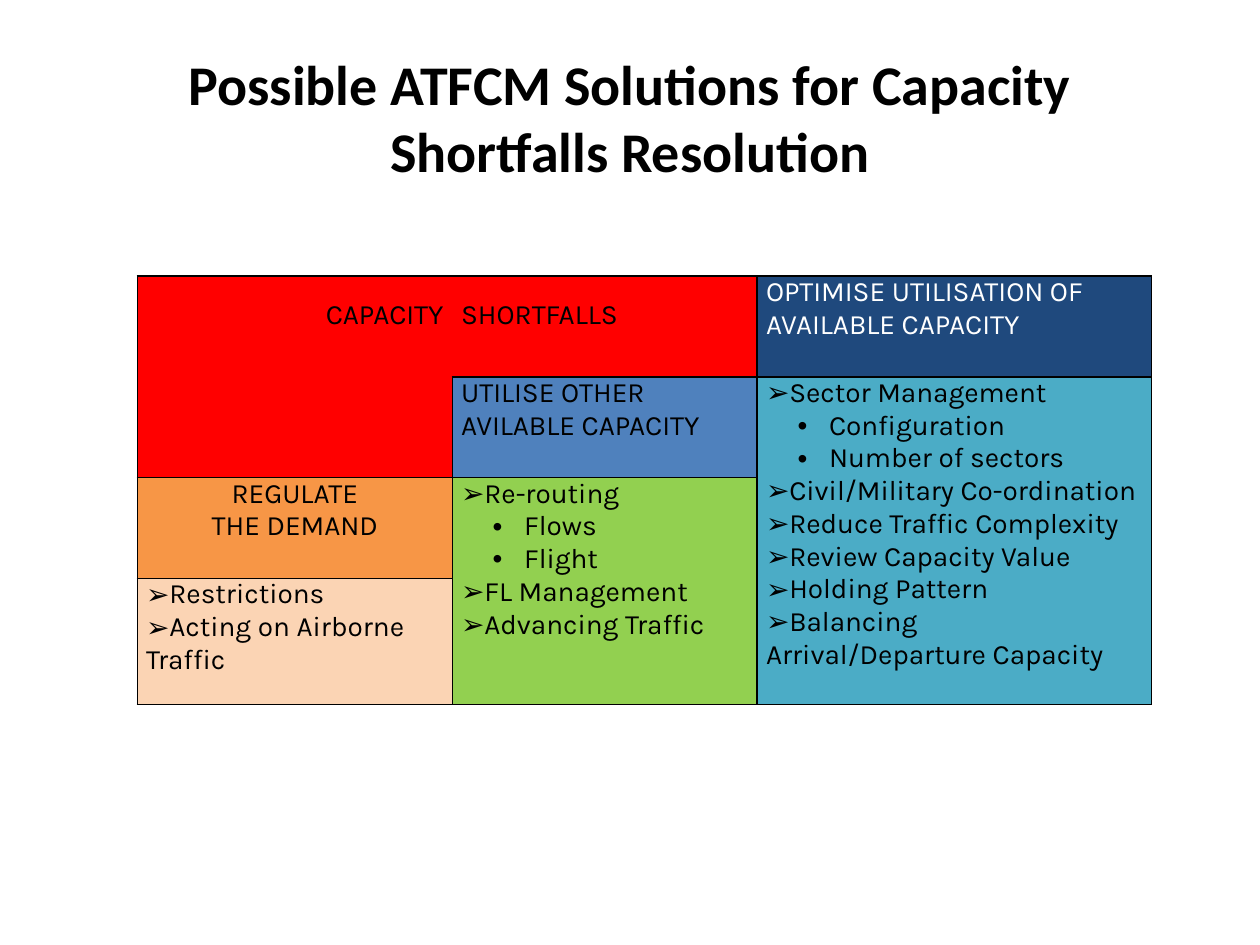
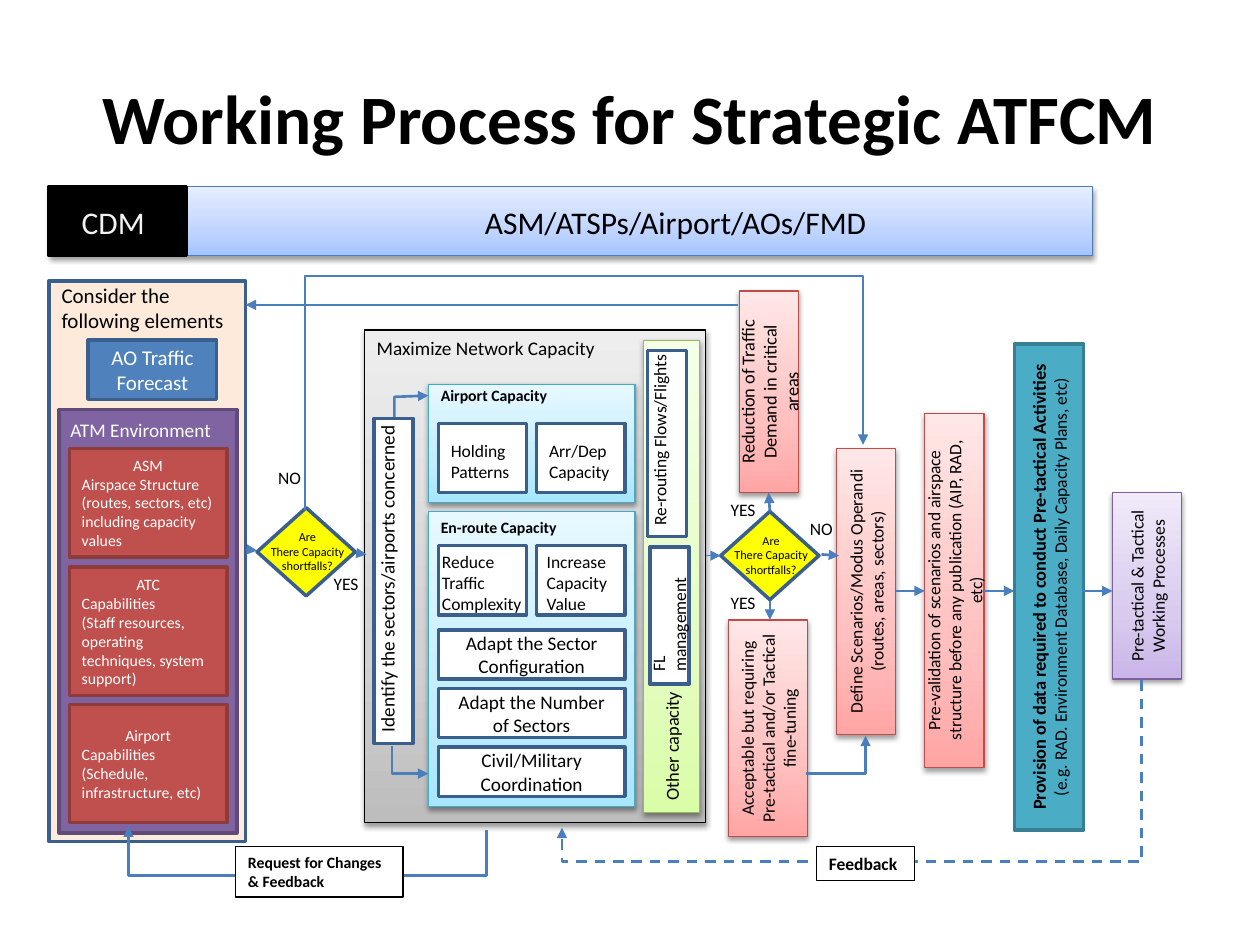
from copy import deepcopy
from dataclasses import dataclass

from lxml.etree import SubElement
from pptx import Presentation
from pptx.dml.color import RGBColor
from pptx.enum.dml import MSO_LINE
from pptx.enum.shapes import MSO_CONNECTOR, MSO_SHAPE
from pptx.enum.text import MSO_ANCHOR, MSO_AUTO_SIZE, PP_ALIGN
from pptx.oxml.ns import qn
from pptx.util import Inches, Pt

BODY_FONT = "Calibri"
TABLE_FONT = "Karla"
BLACK, WHITE = "000000", "FFFFFF"
ARROW_BLUE = "4B7EBC"

STYLES = {
    "cream": ("FDEADA", "3A5F8C", 2),
    "blue": ("4F81BD", "3A5F8C", 2),
    "violet": ("8064A2", "5F4A78", 2),
    "brick": ("C0504D", "8E3B39", 2),
    "yellow": ("FFFF00", "3A5F8C", 2),
    "white": (WHITE, "3A5F8C", 2),
    "note": (WHITE, BLACK, 0.75),
    "teal": ("4BACC6", "377F92", 2),
    "black": (BLACK, BLACK, 2),
    "grey": (("BDBDBD", "D1D1D1", "EEEEEE"), BLACK, 0.75),
    "pink": (("FFA6A5", "FFC0BF", "FFE7E7"), "BF4C48", 0.75),
    "lilac": (("C9B5E8", "D8CBEE", "F0EAF9"), "7D60A0", 0.75),
    "sky": (("A7E6FF", "C1EDFF", "E7F8FF"), "46AAC5", 0.75),
    "lime": (("DAFDA7", "E4FCC2", "F5FFE7"), "98B955", 0.75),
    "banner": (("A4C4FF", "BFD4FF", "E6EEFF"), ARROW_BLUE, 0.75),
}


def rgb(value):
    return RGBColor.from_string(value)


def format_runs(paragraph, size, color=BLACK, bold=False, font=BODY_FONT):
    for run in paragraph.runs:
        run.font.name = font
        run.font.size = Pt(size)
        run.font.bold = bold
        run.font.color.rgb = rgb(color)


def write_text(shape, text, size, color=BLACK, bold=False, align=PP_ALIGN.LEFT,
               anchor=MSO_ANCHOR.TOP, vertical=False):
    text_frame = shape.text_frame
    text_frame.text = text
    text_frame.word_wrap = True
    text_frame.auto_size = MSO_AUTO_SIZE.NONE
    text_frame.vertical_anchor = anchor
    if vertical:
        shape._element.txBody.bodyPr.set("vert", "vert270")
    for paragraph in text_frame.paragraphs:
        paragraph.alignment = align
        format_runs(paragraph, size, color, bold)


def add_title(slide, text, size):
    title = slide.shapes.title
    title.left, title.top, title.width, title.height = map(Inches, (0.5, 0.3, 9, 1.25))
    write_text(title, text, size, bold=True, align=PP_ALIGN.CENTER, anchor=MSO_ANCHOR.MIDDLE)


def paint_gradient(shape, colors):
    shape.fill.gradient()
    shape.fill.gradient_angle = 90
    stops = shape._element.spPr.find(qn("a:gradFill")).find(qn("a:gsLst"))
    stops.append(deepcopy(stops[0]))
    for stop, color, position in zip(shape.fill.gradient_stops, colors, (0, 0.35, 1)):
        stop.color.rgb = rgb(color)
        stop.position = position


def add_shadow(shape):
    effects = shape._element.spPr.find(qn("a:effectLst"))
    shadow = SubElement(effects, qn("a:outerShdw"), blurRad=str(Pt(3.1)), dist=str(Pt(1.6)),
                        dir="5400000", rotWithShape="0")
    color = SubElement(shadow, qn("a:srgbClr"), val=BLACK)
    SubElement(color, qn("a:alpha"), val="38000")


@dataclass
class Region:
    slide: object
    left: float = 0
    top: float = 0

    def place(self, x, y):
        return Inches(self.left + x), Inches(self.top + y)

    def block(self, x, y, width, height, style, text="", size=10, kind=MSO_SHAPE.RECTANGLE,
              align=PP_ALIGN.CENTER, anchor=MSO_ANCHOR.MIDDLE, **text_options):
        shape = self.slide.shapes.add_shape(kind, *self.place(x, y), Inches(width), Inches(height))
        fill, line, line_width = STYLES[style]
        shape.shadow.inherit = False
        if isinstance(fill, tuple):
            paint_gradient(shape, fill)
            add_shadow(shape)
        else:
            shape.fill.solid()
            shape.fill.fore_color.rgb = rgb(fill)
        shape.line.color.rgb = rgb(line)
        shape.line.width = Pt(line_width)
        if text:
            write_text(shape, text, size, align=align, anchor=anchor, **text_options)
        return shape

    def label(self, x, y, width, height, text, size=10, **text_options):
        box = self.slide.shapes.add_textbox(*self.place(x, y), Inches(width), Inches(height))
        write_text(box, text, size, **text_options)

    def arrow(self, *points, width=1.5, dashed=False):
        start, *others = [self.place(*point) for point in points]
        shapes = self.slide.shapes
        if len(others) == 1:
            line = shapes.add_connector(MSO_CONNECTOR.STRAIGHT, *start, *others[0])
            SubElement(line._element.spPr, qn("a:effectLst"))
        else:
            builder = shapes.build_freeform(*start)
            builder.add_line_segments(others, close=False)
            line = builder.convert_to_shape()
            line.fill.background()
            line.shadow.inherit = False
        line.line.color.rgb = rgb(ARROW_BLUE)
        line.line.width = Pt(width)
        if dashed:
            line.line.dash_style = MSO_LINE.DASH
        SubElement(line.line._get_or_add_ln(), qn("a:tailEnd"), type="triangle")


def set_borders(cell, sides):
    properties = cell._tc.get_or_add_tcPr()
    for side in "LRTB":
        line = SubElement(properties, qn(f"a:ln{side}"), w=str(Pt(1)))
        if side in sides:
            SubElement(SubElement(line, qn("a:solidFill")), qn("a:srgbClr"), val=BLACK)
        else:
            SubElement(line, qn("a:noFill"))


def set_bullet(paragraph, symbol):
    properties = paragraph._p.get_or_add_pPr()
    nested = symbol == "•"
    properties.set("marL", str(Inches(0.5 if nested else 0)))
    properties.set("indent", str(Inches(-0.25 if nested else 0)))
    SubElement(properties, qn("a:buFont"), typeface="Arial")
    SubElement(properties, qn("a:buChar"), char=symbol)


def fill_cell(cell, text, fill, color=BLACK, align=PP_ALIGN.LEFT, margin_top=0):
    cell.fill.solid()
    cell.fill.fore_color.rgb = rgb(fill)
    cell.margin_left = cell.margin_right = Inches(0.07)
    cell.margin_top, cell.margin_bottom = Inches(margin_top), 0
    lines = text.split("\n")
    cell.text_frame.text = "\n".join(line.lstrip("➢•") for line in lines)
    for line, paragraph in zip(lines, cell.text_frame.paragraphs):
        paragraph.alignment = align
        if line[0] in "➢•":
            set_bullet(paragraph, line[0])
        format_runs(paragraph, 16, color, font=TABLE_FONT)


def add_solutions_table(slide, left, top):
    widths, heights = (2.5, 2.42, 3.13), (0.8, 0.8, 0.8, 1)
    frame = slide.shapes.add_table(4, 3, Inches(left), Inches(top),
                                   Inches(sum(widths)), Inches(sum(heights)))
    table = frame.table
    table.first_row = table.horz_banding = False
    for column, width in zip(table.columns, widths):
        column.width = Inches(width)
    for row, height in zip(table.rows, heights):
        row.height = Inches(height)
    open_sides = {(0, 0): "LTB", (0, 1): "RTB"}
    for row in range(4):
        for column in range(3):
            set_borders(table.cell(row, column), open_sides.get((row, column), "LRTB"))
    for first, last in (((0, 0), (1, 0)), ((1, 2), (3, 2)), ((2, 1), (3, 1))):
        table.cell(*first).merge(table.cell(*last))

    fill_cell(table.cell(0, 0), "CAPACITY", "FF0000", align=PP_ALIGN.RIGHT, margin_top=0.18)
    fill_cell(table.cell(0, 1), "SHORTFALLS", "FF0000", margin_top=0.18)
    fill_cell(table.cell(0, 2), "OPTIMISE UTILISATION OF AVAILABLE CAPACITY", "1F497D", WHITE)
    fill_cell(table.cell(1, 1), "UTILISE OTHER AVILABLE CAPACITY", "4F81BD")
    fill_cell(table.cell(1, 2), "➢Sector Management\n•Configuration\n•Number of sectors\n"
              "➢Civil/Military Co-ordination\n➢Reduce Traffic Complexity\n"
              "➢Review Capacity Value\n➢Holding Pattern\n"
              "➢Balancing Arrival/Departure Capacity", "4BACC6")
    fill_cell(table.cell(2, 0), "REGULATE\nTHE DEMAND", "F79646", align=PP_ALIGN.CENTER)
    fill_cell(table.cell(2, 1), "➢Re-routing\n•Flows\n•Flight\n➢FL Management\n"
              "➢Advancing Traffic", "92D050")
    fill_cell(table.cell(3, 0), "➢Restrictions\n➢Acting on Airborne Traffic", "FBD4B4")


def add_banner(slide, left, top):
    region = Region(slide, left, top)
    region.block(0, 0, 8.28, 0.55, "banner")
    region.block(0, 0, 1.09, 0.55, "black")
    region.label(0.16, 0.08, 1.02, 0.4, "CDM", 18, color="F2F2F2")
    region.label(3.36, 0.08, 3.28, 0.4, "ASM/ATSPs/Airport/AOs/FMD", 18)


def add_elements(slide, left, top):
    region = Region(slide, left, top)
    region.block(0, 0, 1.56, 4.45, "cream")
    region.label(0, -0.04, 1.56, 0.5, "Consider the following elements", 12)
    region.block(0.31, 0.47, 1.02, 0.47, "blue", "AO Traffic Forecast", 12, color=WHITE)
    region.block(0.08, 1.02, 1.41, 3.36, "violet")
    region.label(0.07, 1.04, 1.41, 0.29, "ATM Environment", 11, color=WHITE)
    environment = (
        (1.33, 0.86, "ASM\nAirspace Structure\n(routes, sectors, etc) including capacity values"),
        (2.27, 1.02, "ATC\nCapabilities\n"
                     "(Staff resources, operating techniques, system support)"),
        (3.36, 0.94, "Airport\nCapabilities\n(Schedule, infrastructure, etc)"),
    )
    for y, height, text in environment:
        shape = region.block(0.16, y, 1.25, height, "brick", text, 9,
                             align=PP_ALIGN.LEFT, color=WHITE)
        shape.text_frame.paragraphs[0].alignment = PP_ALIGN.CENTER


def add_decision(slide, left, top):
    region = Region(slide, left, top)
    region.block(0, 0, 0.78, 0.7, "yellow", kind=MSO_SHAPE.FLOWCHART_DECISION)
    region.label(0, 0.12, 0.8, 0.45, "Are\nThere Capacity shortfalls?", 7, align=PP_ALIGN.CENTER)


def add_network(slide, left, top):
    region = Region(slide, left, top)
    region.block(0, 0, 2.71, 3.91, "grey")
    region.label(0, 0, 2.11, 0.29, "Maximize Network Capacity", 11)
    region.block(0.51, 0.43, 1.64, 0.94, "sky")
    region.label(0.51, 0.39, 1.37, 0.25, "Airport Capacity", 9, bold=True)
    region.block(0.51, 1.44, 1.64, 2.34, "sky")
    region.label(0.51, 1.44, 1.41, 0.25, "En-route Capacity", 9, bold=True)
    for y in (0.74, 1.71):
        for x in (0.59, 1.37):
            region.block(x, y, 0.7, 0.55, "white")
    region.label(0.59, 0.82, 0.7, 0.44, "Holding Patterns")
    region.label(1.37, 0.82, 0.7, 0.44, "Arr/Dep\nCapacity")
    region.label(0.52, 1.7, 0.86, 0.61, "Reduce Traffic Complexity")
    region.label(1.35, 1.7, 0.78, 0.61, "Increase Capacity Value")
    measures = ("Adapt the Sector Configuration", "Adapt the Number of Sectors",
                "Civil/Military Coordination")
    for index, measure in enumerate(measures):
        region.block(0.59, 2.38 + 0.465 * index, 1.48, 0.39, "white", measure, 11)

    region.block(0.08, 0.7, 0.31, 2.58, "white")
    region.label(0.04, 0.47, 0.39, 2.82, "Identify the sectors/airports concerned", 11,
                 vertical=True)
    region.block(2.22, 0.08, 0.44, 3.75, "lime", "Other capacity", 10.5,
                 align=PP_ALIGN.LEFT, vertical=True)
    region.block(2.27, 1.72, 0.31, 1.09, "white")
    region.label(2.2, 1.72, 0.37, 1.09, "FL management", vertical=True)
    region.block(2.25, 0.16, 0.31, 1.48, "white")
    region.label(2.21, 0.01, 0.37, 1.64, "Re-routing Flows/Flights", vertical=True)
    region.arrow((0.24, 0.69), (0.24, 0.53), (0.51, 0.52))
    region.arrow((0.22, 3.3), (0.22, 3.52), (0.51, 3.52))


def add_outcomes(slide, left, top):
    region = Region(slide, left, top)
    steps = (
        (0.09, 0, 0.47, 1.6, "pink", 10.5, "Reduction of Traffic Demand in critical areas"),
        (0, 2.61, 0.63, 1.72, "pink", 10,
         "Acceptable but requiring Pre-tactical and/or Tactical fine-tuning"),
        (0.86, 1.25, 0.47, 2.27, "pink", 10,
         "Define Scenarios/Modus Operandi (routes, areas, sectors)"),
        (1.56, 0.97, 0.47, 2.81, "pink", 10, "Pre-validation of scenarios and airspace "
         "structure before any publication (AIP, RAD, etc)"),
        (3.05, 1.6, 0.55, 1.48, "lilac", 10, "Pre-tactical & Tactical Working Processes"),
    )
    for x, y, width, height, style, size, text in steps:
        region.block(x, y, width, height, style, text, size, vertical=True)
    provision = region.block(
        2.27, 0.42, 0.55, 3.86, "teal",
        "Provision of data required to conduct Pre-tactical Activities\n"
        "(e.g. RAD. Environment Database, Daily Capacity Plans, etc)", 10, vertical=True)
    format_runs(provision.text_frame.paragraphs[0], 10.5, bold=True)
    region.arrow((0.62, 3.83), (1.09, 3.83), (1.09, 3.53))
    for start, end in ((1.33, 1.56), (2.03, 2.27), (2.81, 3.05)):
        region.arrow((start, 2.38), (end, 2.38))


def add_links(slide):
    region = Region(slide)
    region.arrow((3.86, 6.59), (3.86, 6.95), (1.02, 6.95), (1.02, 6.56))
    region.arrow((9.06, 5.4), (9.06, 6.84), (4.46, 6.84), (4.46, 6.57), dashed=True)
    region.arrow((2.42, 4.05), (2.42, 2.19), (6.85, 2.19), (6.85, 3.53))
    region.arrow((5.86, 2.42), (1.95, 2.42))
    region.arrow((6.11, 4.06), (6.1, 3.91))
    region.arrow((6.11, 4.77), (6.11, 4.92))
    region.arrow((6.52, 4.4), (6.66, 4.41))
    for start, end in (((1.95, 4.36), (2.04, 4.37)), ((2.83, 4.39), (2.91, 4.4)),
                       ((5.6, 4.41), (5.72, 4.41))):
        region.arrow(start, end, width=0.75)
    for x, y in ((2.11, 3.66), (6.33, 4.06)):
        region.label(x, y, 0.39, 0.27, "NO")
    for x, y in ((2.55, 4.5), (5.7, 3.91), (5.7, 4.65)):
        region.label(x, y, 0.47, 0.27, "YES")
    note = {"align": PP_ALIGN.LEFT, "anchor": MSO_ANCHOR.TOP, "bold": True}
    region.block(1.87, 6.72, 1.33, 0.4, "note", "Request for Changes & Feedback", 9, **note)
    region.block(6.48, 6.72, 0.78, 0.27, "note", "Feedback", 10, **note)


def build_solutions_slide(slide):
    add_title(slide, "Possible ATFCM Solutions for Capacity Shortfalls Resolution", 32)
    add_solutions_table(slide, 1.09, 2.19)


def build_process_slide(slide):
    add_title(slide, "Working Process for Strategic ATFCM", 39.6)
    add_elements(slide, 0.39, 2.23)
    add_network(slide, 2.89, 2.62)
    add_outcomes(slide, 5.78, 2.31)
    add_decision(slide, 2.04, 4.03)
    add_decision(slide, 5.72, 4.06)
    add_links(slide)
    add_banner(slide, 0.39, 1.48)


def main():
    presentation = Presentation()
    presentation.slide_width, presentation.slide_height = Inches(10), Inches(7.5)
    title_only = presentation.slide_layouts[5]
    for build in (build_solutions_slide, build_process_slide):
        build(presentation.slides.add_slide(title_only))
    presentation.save("out.pptx")


if __name__ == "__main__":
    main()
